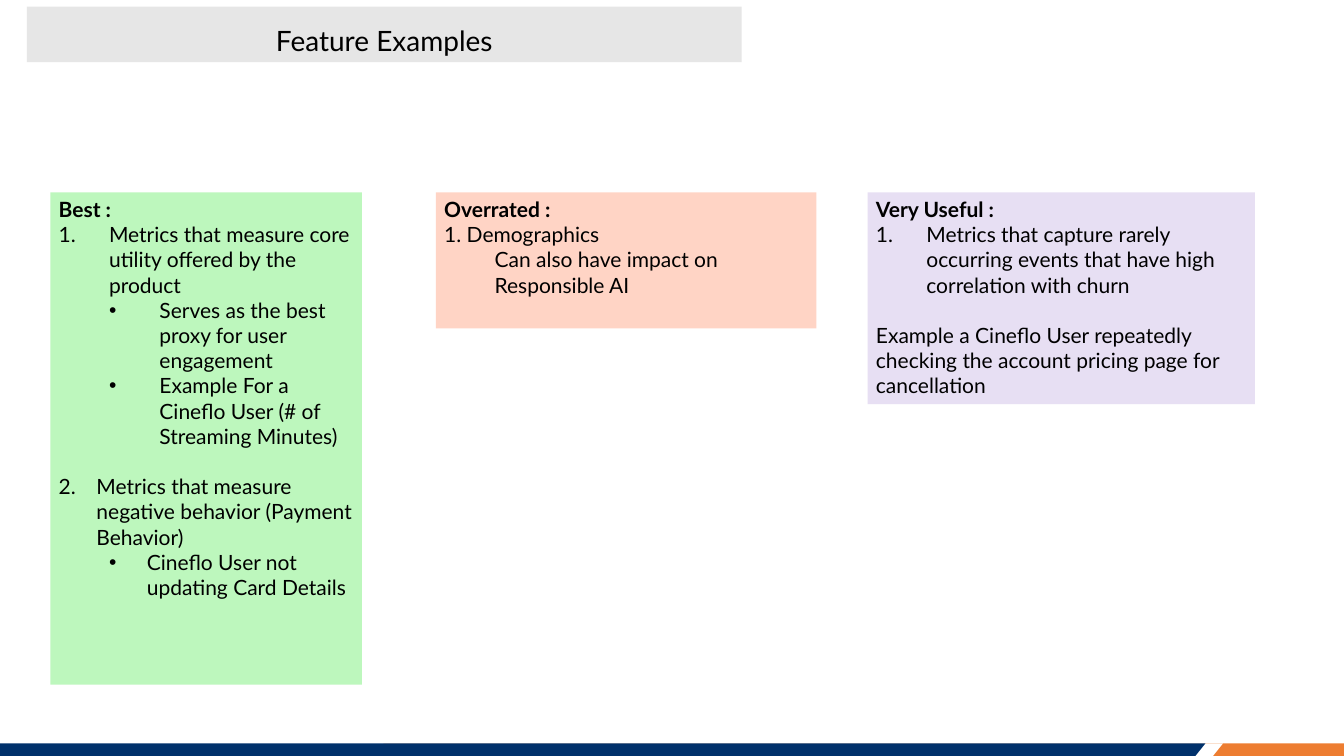
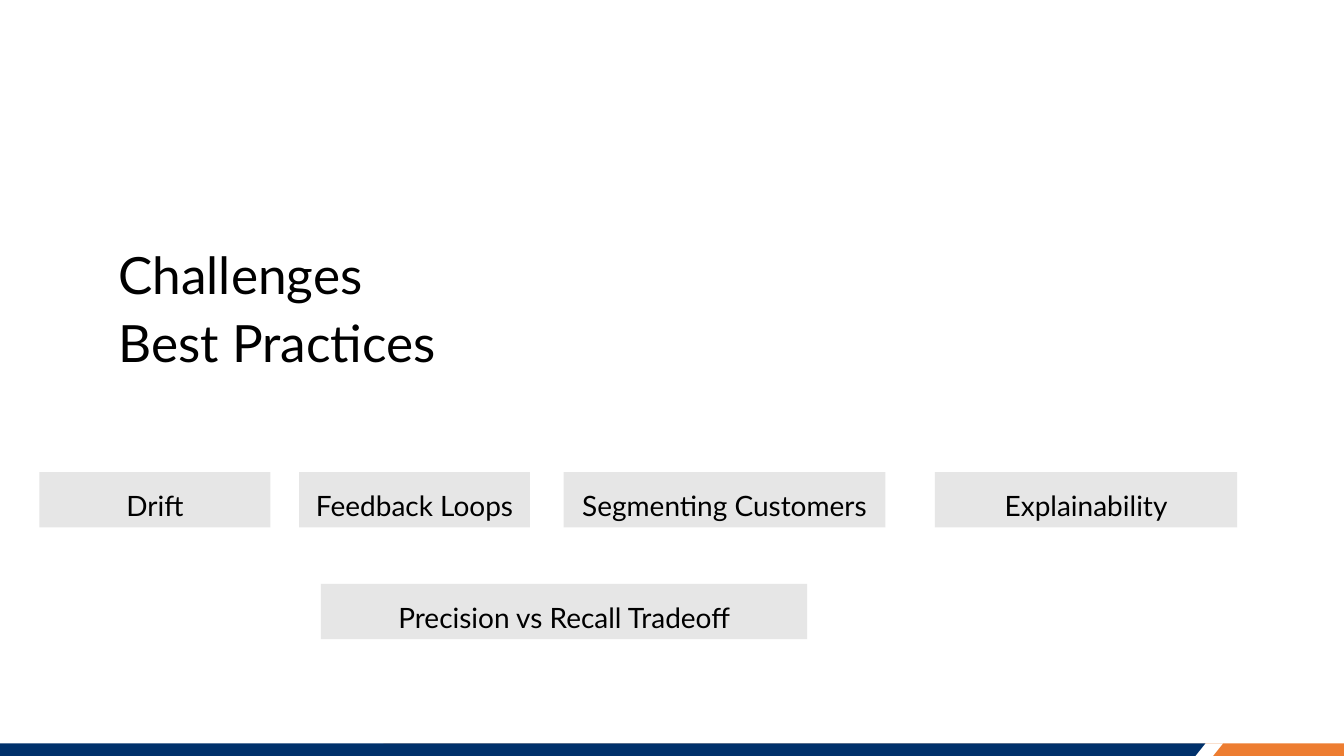
import pptx
import pptx.util
import pptx.dml.color
import pptx.enum.shapes
import pptx.enum.text
import lxml.etree
from pptx.util import Inches

COLORS = {
    "text": "000000",
    "navy": "00316B",
    "orange": "ED7D31",
    "white": "FFFFFF",
    "label": "E6E6E6",
    "best": "BDF7BD",
    "overrated": "FFD4C5",
    "useful": "E7DFF3",
}
FONT = "Lato"
BODY_SIZE = 18
LABEL_HEIGHT = 0.66
CARD_TOP = 2.29
BLANK_LINE = pptx.util.Pt(21.6)


def paint(shape, color):
    shape.shadow.inherit = False
    shape.fill.solid()
    shape.fill.fore_color.rgb = pptx.dml.color.RGBColor.from_string(COLORS[color])
    shape.line.fill.background()


def add_run(paragraph, text, size, bold=False):
    run = paragraph.add_run()
    run.text = text
    run.font.name = FONT
    run.font.size = pptx.util.Pt(size)
    run.font.bold = bold
    run.font.color.rgb = pptx.dml.color.RGBColor.from_string(COLORS["text"])


presentation = pptx.Presentation()
presentation.slide_width = Inches(16)
presentation.slide_height = Inches(9)
title_layout = presentation.slide_layouts[5]
features = presentation.slides.add_slide(title_layout)
challenges = presentation.slides.add_slide(title_layout)

bands = [
    ("orange", [(4.57, 8.85), (16, 8.85), (16, 9), (4.39, 9)]),
    ("white", [(0, 8.85), (14.56, 8.85), (14.44, 9), (0, 9)]),
    ("navy", [(0, 8.85), (14.35, 8.85), (14.23, 9), (0, 9)]),
]
for color, points in bands:
    corners = [(Inches(x), Inches(y)) for x, y in points]
    builder = features.shapes.build_freeform(*corners[0])
    builder.add_line_segments(corners[1:], close=True)
    band = builder.convert_to_shape()
    paint(band, color)
    presentation.slide_master.shapes.element.append(band.element)

cards = [
    ("best", 0.6, 3.71, 5.86, "Best :", [
        ("Metrics that measure core utility offered by the product", 0, 0.6, 0.6, "1", 0),
        ("Serves as the best proxy for user engagement", 1, 1.2, 0.6, "•", 0),
        ("Example For a Cineflo User (# of Streaming Minutes)", 1, 1.2, 0.6, "•", 0),
        ("Metrics that measure negative behavior (Payment Behavior)", 0, 0.45, 0.45, "2", BLANK_LINE),
        ("Cineflo User not updating Card Details", 1, 1.05, 0.45, "•", 0),
    ]),
    ("useful", 10.33, 4.61, 2.52, "Very Useful :", [
        ("Metrics that capture rarely occurring events that have high correlation with churn",
         0, 0.6, 0.6, "1", 0),
        ("Example a Cineflo User repeatedly checking the account pricing page for cancellation",
         0, 0, 0, "", BLANK_LINE),
    ]),
    ("overrated", 5.19, 4.53, 1.62, "Overrated :", [
        ("1. Demographics", 0, 0, 0, "", 0),
        ("Can also have impact on Responsible AI", 1, 0.6, 0, "", 0),
    ]),
]
for color, left, width, height, heading, items in cards:
    card = features.shapes.add_shape(
        pptx.enum.shapes.MSO_SHAPE.RECTANGLE,
        Inches(left), Inches(CARD_TOP), Inches(width), Inches(height))
    paint(card, color)
    frame = card.text_frame
    frame.word_wrap = True
    frame.vertical_anchor = pptx.enum.text.MSO_ANCHOR.TOP
    frame.paragraphs[0].alignment = pptx.enum.text.PP_ALIGN.LEFT
    add_run(frame.paragraphs[0], heading, BODY_SIZE, True)
    for text, level, margin, hanging, marker, space in items:
        paragraph = frame.add_paragraph()
        paragraph.level = level
        paragraph.alignment = pptx.enum.text.PP_ALIGN.LEFT
        properties = paragraph._p.get_or_add_pPr()
        properties.set("marL", str(Inches(margin)))
        properties.set("indent", str(-Inches(hanging)))
        if marker == "•":
            font = lxml.etree.SubElement(properties, pptx.oxml.ns.qn("a:buFont"))
            font.set("typeface", "Arial")
            bullet = lxml.etree.SubElement(properties, pptx.oxml.ns.qn("a:buChar"))
            bullet.set("char", marker)
        elif marker:
            number = lxml.etree.SubElement(properties, pptx.oxml.ns.qn("a:buAutoNum"))
            number.set("type", "arabicPeriod")
            number.set("startAt", marker)
        if space:
            paragraph.space_before = space
        add_run(paragraph, text, BODY_SIZE)

title = challenges.shapes.title
title.left, title.top = Inches(1.31), Inches(2.77)
title.width, title.height = Inches(10.77), Inches(1.33)
title.text_frame.auto_size = pptx.enum.text.MSO_AUTO_SIZE.NONE
title.text_frame.vertical_anchor = pptx.enum.text.MSO_ANCHOR.TOP
paragraph = title.text_frame.paragraphs[0]
paragraph.alignment = pptx.enum.text.PP_ALIGN.LEFT
paragraph.line_spacing = 1.1
paragraph.space_after = pptx.util.Pt(12)
add_run(paragraph, "Challenges", 44)
paragraph.add_line_break()
add_run(paragraph, "Best Practices", 44)

labels = [
    (features, "Feature Examples", 0.32, 0.08, 8.51),
    (challenges, "Drift", 0.47, 5.62, 2.75),
    (challenges, "Feedback Loops", 3.56, 5.62, 2.75),
    (challenges, "Segmenting Customers", 6.71, 5.62, 3.83),
    (challenges, "Explainability", 11.13, 5.62, 3.6),
    (challenges, "Precision vs Recall Tradeoff", 3.82, 6.95, 5.79),
]
for slide, text, left, top, width in labels:
    box = [Inches(length) for length in (left, top, width, LABEL_HEIGHT)]
    if slide is features:
        label = slide.shapes.title
        label.left, label.top, label.width, label.height = box
    else:
        label = slide.shapes.add_shape(pptx.enum.shapes.MSO_SHAPE.RECTANGLE, *box)
    paint(label, "label")
    frame = label.text_frame
    frame.word_wrap = True
    frame.auto_size = pptx.enum.text.MSO_AUTO_SIZE.NONE
    frame.vertical_anchor = pptx.enum.text.MSO_ANCHOR.BOTTOM
    frame.margin_left = frame.margin_right = Inches(0.12)
    frame.margin_top = frame.margin_bottom = Inches(0.06)
    paragraph = frame.paragraphs[0]
    paragraph.alignment = pptx.enum.text.PP_ALIGN.CENTER
    paragraph.line_spacing = 0.9
    add_run(paragraph, text, 24)

presentation.save("out.pptx")
